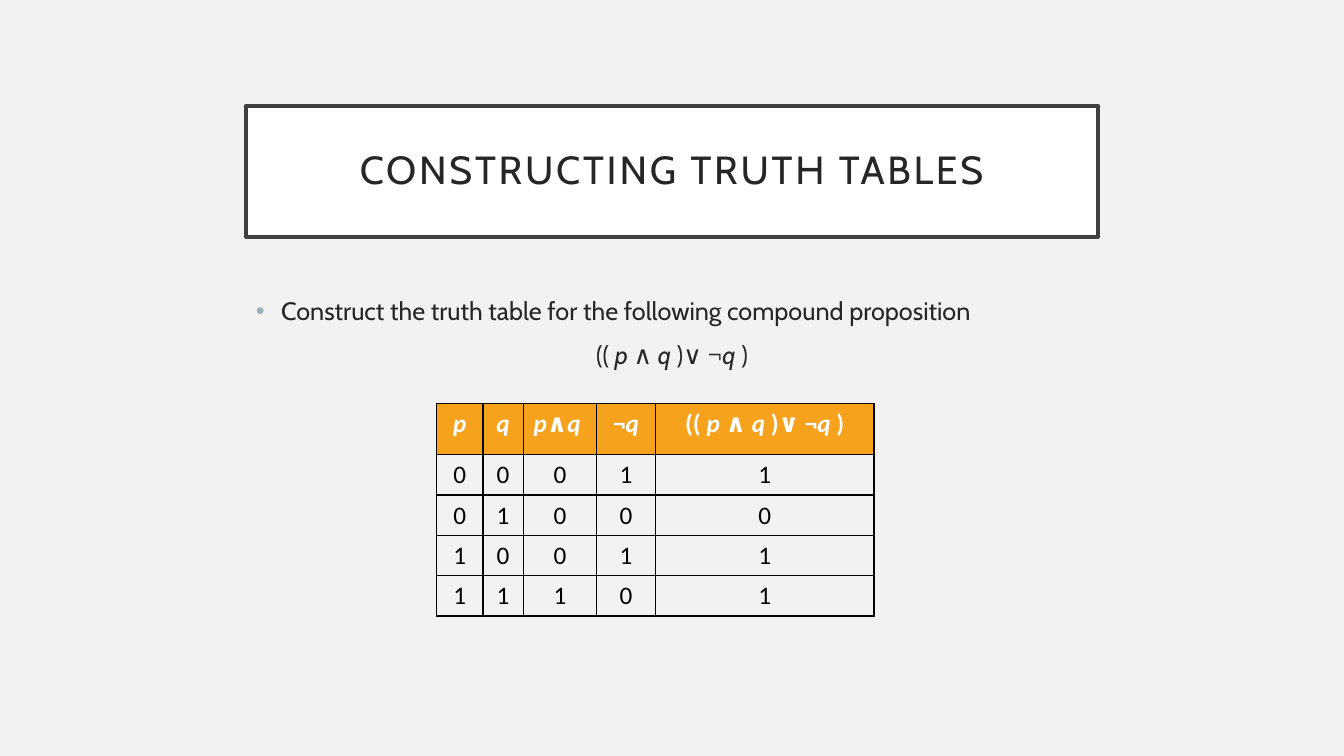
import itertools
from dataclasses import dataclass
from typing import Callable

import pptx
import pptx.dml.color
import pptx.enum.shapes
import pptx.enum.text
import pptx.oxml
import pptx.oxml.ns
import pptx.util
from pptx.util import Inches

CENTER = pptx.enum.text.PP_ALIGN.CENTER
MIDDLE = pptx.enum.text.MSO_ANCHOR.MIDDLE
NAMESPACE = pptx.oxml.ns.nsdecls("a")
BACKGROUND = "F2F2F2"
INK = "262626"
FORMULA = "(( p ∧ q )∨ ¬q )"


@dataclass
class Column:
    heading: str
    width: float
    value: Callable[[int, int], int]


COLUMNS = [
    Column("p", 0.46, lambda p, q: p),
    Column("q", 0.4, lambda p, q: q),
    Column("p∧q ", 0.73, lambda p, q: p & q),
    Column("¬q", 0.58, lambda p, q: 1 - q),
    Column(FORMULA, 2.17, lambda p, q: p & q | 1 - q),
]


def color(value: str) -> pptx.dml.color.RGBColor:
    return pptx.dml.color.RGBColor.from_string(value)


def paint(fill, value: str) -> None:
    fill.solid()
    fill.fore_color.rgb = color(value)


def write(para, text: str, *, size: float = 18, face: str = "Cabin", ink: str = INK,
          bold: bool = False, formula: bool = False, align=None, tracking: int = 0) -> None:
    para.alignment = align
    pieces = [(False, text)]
    if formula:
        groups = itertools.groupby(text, key=lambda letter: letter in "pq")
        pieces = [(variable, "".join(letters)) for variable, letters in groups]
    for italic, piece in pieces:
        span = para.add_run()
        span.text = piece
        span.font.size = pptx.util.Pt(size)
        span.font.name = face
        span.font.color.rgb = color(ink)
        span.font.bold = bold
        span.font.italic = italic
        if tracking:
            span.font._element.set("spc", str(tracking))


def draw_title(page) -> None:
    box = page.shapes.add_shape(pptx.enum.shapes.MSO_SHAPE.RECTANGLE,
                                Inches(2.44), Inches(1.05), Inches(8.45), Inches(1.3))
    box.shadow.inherit = False
    paint(box.fill, "FFFFFF")
    box.line.color.rgb = color("404040")
    box.line.width = pptx.util.Pt(2.5)
    frame = box.text_frame
    frame.word_wrap = True
    frame.vertical_anchor = MIDDLE
    frame.margin_left = frame.margin_right = Inches(0.2)
    frame.margin_top = frame.margin_bottom = Inches(0.2)
    para = frame.paragraphs[0]
    para.line_spacing = 0.9
    write(para, "CONSTRUCTING TRUTH TABLES", size=28, align=CENTER, tracking=200)


def draw_task(page) -> None:
    box = page.shapes.add_textbox(Inches(2.44), Inches(2.88), Inches(8.45), Inches(3.39))
    frame = box.text_frame
    frame.word_wrap = True
    para = frame.paragraphs[0]
    properties = para._p.get_or_add_pPr()
    properties.set("marL", str(Inches(0.25)))
    properties.set("indent", str(-Inches(0.25)))
    for bullet in ('<a:buClr {}><a:srgbClr val="9BAFB5"/></a:buClr>',
                   '<a:buFont {} typeface="Arial"/>',
                   '<a:buChar {} char="•"/>'):
        properties.append(pptx.oxml.parse_xml(bullet.format(NAMESPACE)))
    write(para, "Construct the truth table for the following compound proposition")
    para = frame.add_paragraph()
    para.space_before = pptx.util.Pt(10)
    write(para, FORMULA, formula=True, align=CENTER)


def fill_cell(cell, text: str, *, fill: str, ink: str, bold: bool) -> None:
    properties = cell._tc.get_or_add_tcPr()
    for side in ("lnL", "lnR", "lnT", "lnB"):
        properties.append(pptx.oxml.parse_xml(
            f'<a:{side} {NAMESPACE} w="12700"><a:solidFill><a:srgbClr val="000000"/>'
            f'</a:solidFill></a:{side}>'))
    paint(cell.fill, fill)
    write(cell.text_frame.paragraphs[0], text, face="Calibri", ink=ink, bold=bold,
          formula=True, align=CENTER)


def draw_truth_table(page) -> None:
    cases = list(itertools.product((0, 1), repeat=2))
    table = page.shapes.add_table(len(cases) + 1, len(COLUMNS), Inches(4.33), Inches(4),
                                  Inches(4.34), Inches(2.11)).table
    table.horz_banding = False
    for index, row in enumerate(table.rows):
        row.height = Inches(0.4 if index else 0.51)
    for index, column in enumerate(COLUMNS):
        table.columns[index].width = Inches(column.width)
        fill_cell(table.cell(0, index), column.heading, fill="F6A21D", ink="FFFFFF", bold=True)
        for number, case in enumerate(cases, start=1):
            fill_cell(table.cell(number, index), str(column.value(*case)),
                      fill=BACKGROUND, ink="000000", bold=False)


def main() -> None:
    deck = pptx.Presentation()
    deck.slide_width = Inches(13.33)
    deck.slide_height = Inches(7.5)
    page = deck.slides.add_slide(deck.slide_layouts[6])
    paint(page.background.fill, BACKGROUND)
    draw_title(page)
    draw_task(page)
    draw_truth_table(page)
    deck.save("out.pptx")


if __name__ == "__main__":
    main()
